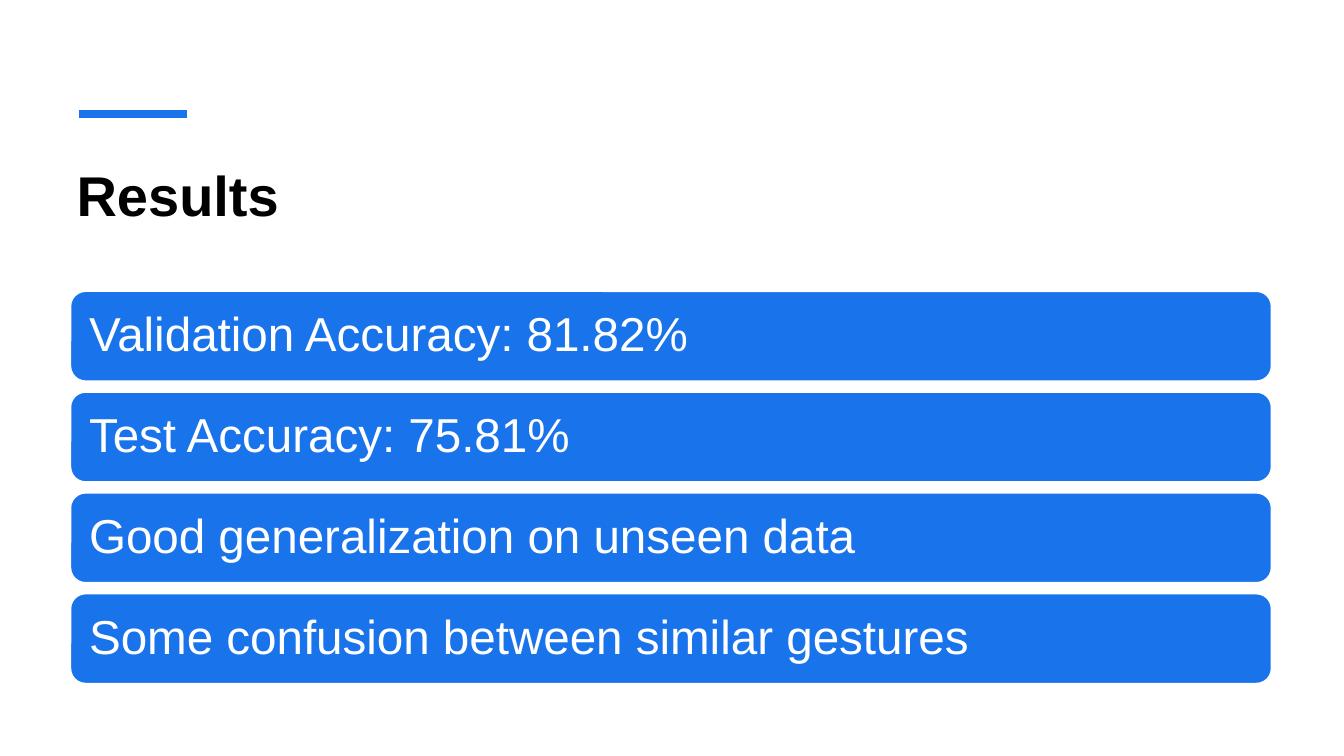
import pptx
import pptx.dml.color
import pptx.enum.shapes
import pptx.enum.text
import pptx.oxml.ns
import pptx.util
from lxml import etree

Inches = pptx.util.Inches
Pt = pptx.util.Pt
BLUE = pptx.dml.color.RGBColor(0x19, 0x73, 0xEB)
WHITE = pptx.dml.color.RGBColor(0xFF, 0xFF, 0xFF)
BLACK = pptx.dml.color.RGBColor(0x00, 0x00, 0x00)

LEFT, WIDTH = 0.7, 11.91
FIRST_TOP, PITCH, BAR_HEIGHT = 2.89, 1.0, 0.89
FINDINGS = [
    "Validation Accuracy: 81.82%",
    "Test Accuracy: 75.81%",
    "Good generalization on unseen data",
    "Some confusion between similar gestures",
]


class ResultsSlide:
    font = "Arial"

    def __init__(self, deck):
        self.slide = deck.slides.add_slide(deck.slide_layouts[5])

    def add_text(self, paragraph, text, size, color, bold=False):
        paragraph.alignment = pptx.enum.text.PP_ALIGN.LEFT
        paragraph.line_spacing = 0.9
        run = paragraph.add_run()
        run.text = text
        run.font.name = self.font
        run.font.size = Pt(size)
        run.font.bold = bold
        run.font.color.rgb = color

    def accent(self, x1, x2, y):
        rule = self.slide.shapes.add_connector(
            pptx.enum.shapes.MSO_CONNECTOR.STRAIGHT,
            Inches(x1), Inches(y), Inches(x2), Inches(y))
        rule.line.color.rgb = BLUE
        rule.line.width = Pt(6)
        etree.SubElement(rule._element.spPr, pptx.oxml.ns.qn("a:effectLst"))

    def title(self, text):
        heading = self.slide.shapes.title
        heading.left, heading.top = Inches(LEFT), Inches(1.5)
        heading.width, heading.height = Inches(WIDTH), Inches(1.2)
        frame = heading.text_frame
        frame.word_wrap = True
        frame.auto_size = pptx.enum.text.MSO_AUTO_SIZE.NONE
        frame.vertical_anchor = pptx.enum.text.MSO_ANCHOR.TOP
        frame.margin_left = Inches(0.06)
        frame.margin_top = Inches(0.17)
        self.add_text(frame.paragraphs[0], text, 40, BLACK, bold=True)

    def bar(self, text, top):
        finding = self.slide.shapes.add_shape(
            pptx.enum.shapes.MSO_SHAPE.ROUNDED_RECTANGLE,
            Inches(LEFT), Inches(top), Inches(WIDTH), Inches(BAR_HEIGHT))
        finding.shadow.inherit = False
        finding.fill.solid()
        finding.fill.fore_color.rgb = BLUE
        finding.line.color.rgb = WHITE
        finding.line.width = Pt(1)
        frame = finding.text_frame
        frame.word_wrap = True
        frame.vertical_anchor = pptx.enum.text.MSO_ANCHOR.MIDDLE
        frame.margin_left = frame.margin_right = Inches(0.14)
        frame.margin_top = frame.margin_bottom = Inches(0.14)
        self.add_text(frame.paragraphs[0], text, 34, WHITE)


def main():
    deck = pptx.Presentation()
    deck.slide_width, deck.slide_height = Inches(13.33), Inches(7.5)
    results = ResultsSlide(deck)
    results.accent(0.78, 1.85, 1.13)
    results.title("Results")
    for row, finding in enumerate(FINDINGS):
        results.bar(finding, FIRST_TOP + row * PITCH)
    deck.save("out.pptx")


if __name__ == "__main__":
    main()
